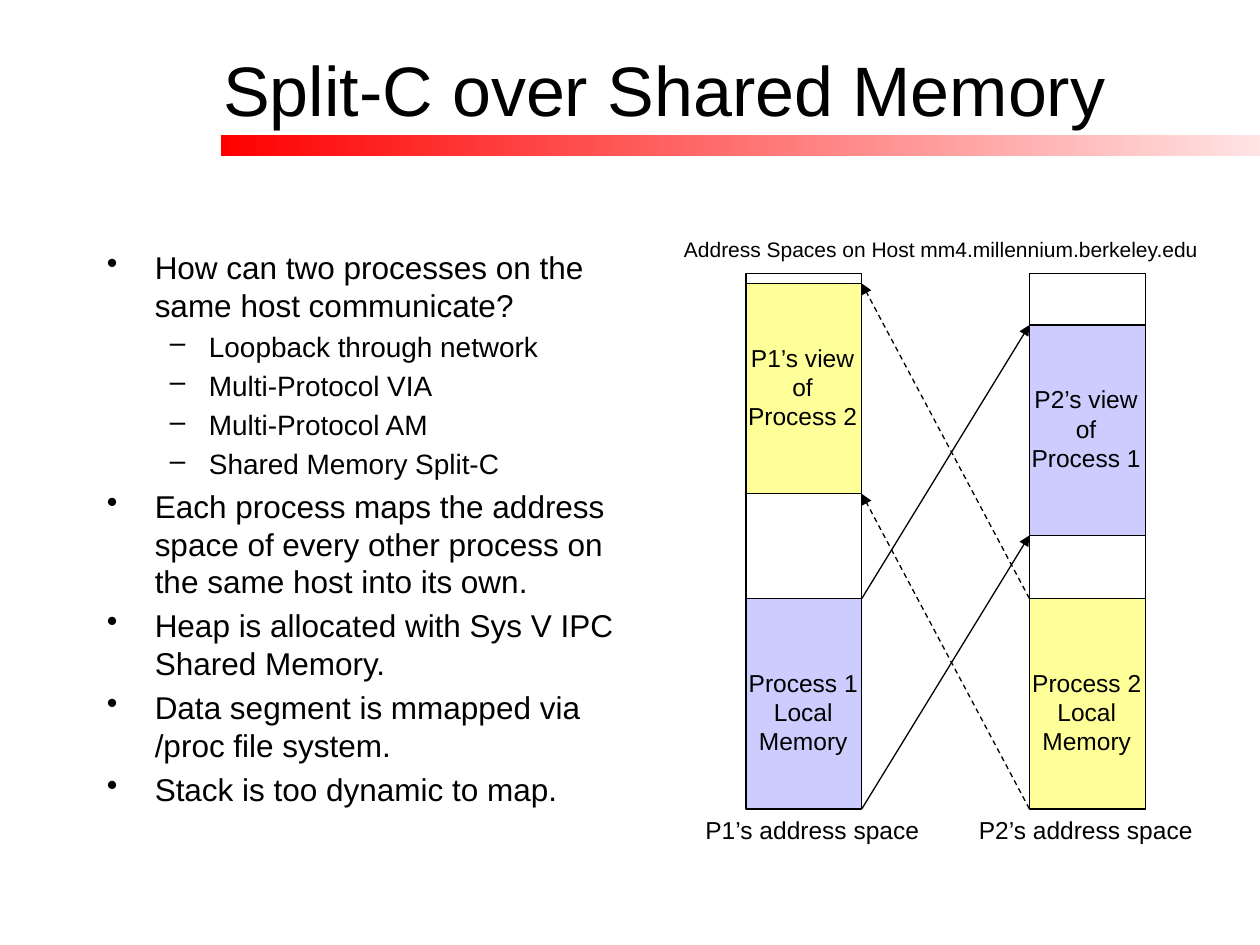
import pptx
import pptx.dml.color
import pptx.enum.dml
import pptx.enum.shapes
import pptx.enum.text
import pptx.oxml
import pptx.oxml.ns
import pptx.util
from pptx.util import Inches

RGBColor = pptx.dml.color.RGBColor
BLACK = RGBColor(0x00, 0x00, 0x00)
WHITE = RGBColor(0xFF, 0xFF, 0xFF)
RED = RGBColor(0xFF, 0x00, 0x00)
LILAC = RGBColor(0xCC, 0xCC, 0xFF)
YELLOW = RGBColor(0xFF, 0xFF, 0x99)
RECTANGLE = pptx.enum.shapes.MSO_SHAPE.RECTANGLE
LEFT, CENTER = pptx.enum.text.PP_ALIGN.LEFT, pptx.enum.text.PP_ALIGN.CENTER
TOP, MIDDLE = pptx.enum.text.MSO_ANCHOR.TOP, pptx.enum.text.MSO_ANCHOR.MIDDLE
NS = pptx.oxml.ns.nsdecls("a")


def write(paragraph, text, size, align=LEFT):
    run = paragraph.add_run()
    run.text = text
    paragraph.alignment = align
    formats = {"name": "Arial", "size": pptx.util.Pt(size)}
    for key, value in formats.items():
        setattr(run.font, key, value)
    run.font.color.rgb = BLACK


def place(shape, left, top, width, height, anchor=TOP):
    box = {"left": left, "top": top, "width": width, "height": height}
    for key, value in box.items():
        setattr(shape, key, Inches(value))
    frame_format = {
        "word_wrap": True, "vertical_anchor": anchor,
        "auto_size": pptx.enum.text.MSO_AUTO_SIZE.NONE,
        "margin_left": Inches(0.1), "margin_right": Inches(0.1),
        "margin_top": Inches(0.05), "margin_bottom": Inches(0.05),
    }
    for key, value in frame_format.items():
        setattr(shape.text_frame, key, value)
    return shape.text_frame


presentation = pptx.Presentation()
presentation.slide_width, presentation.slide_height = Inches(10), Inches(7.5)
slide = presentation.slides.add_slide(presentation.slide_layouts[5])
shapes = slide.shapes

# Title and the red band below it
title = place(shapes.title, 1.67, 0.08, 8.5, 1.25, MIDDLE)
write(title.paragraphs[0], "Split-C over Shared Memory", 40)

band = shapes.add_shape(RECTANGLE, Inches(1.75), Inches(1.07), Inches(9.25), Inches(0.17))
band.shadow.inherit = False
band.line.fill.background()
band.fill.gradient()
band.fill.gradient_angle = 0
for stop, position, color in zip(band.fill.gradient_stops, (0, 1), (RED, WHITE)):
    stop.position = position
    stop.color.rgb = color

# Bullet list: level and text
points = [
    (0, "How can two processes on the same host communicate?"),
    (1, "Loopback through network"),
    (1, "Multi-Protocol VIA"),
    (1, "Multi-Protocol AM"),
    (1, "Shared Memory Split-C"),
    (0, "Each process maps the address space of every other process on the same host into its own."),
    (0, "Heap is allocated with Sys V IPC Shared Memory."),
    (0, "Data segment is mmapped via /proc file system."),
    (0, "Stack is too dynamic to map."),
]
levels = [("•", 18, 0.38, -0.38), ("–", 16, 0.81, -0.31)]
points_frame = place(shapes.add_textbox(0, 0, 0, 0), 0.75, 1.92, 4.42, 5.08)
for index, (level, text) in enumerate(points):
    bullet, size, margin, indent = levels[level]
    point = points_frame.add_paragraph() if index else points_frame.paragraphs[0]
    point.level = level
    properties = point._p.get_or_add_pPr()
    properties.set("marL", str(Inches(margin)))
    properties.set("indent", str(Inches(indent)))
    properties.append(pptx.oxml.parse_xml(f'<a:buChar {NS} char="{bullet}"/>'))
    if index:
        point.space_before = pptx.util.Pt(size * 0.2)
    write(point, text, size)

# Address spaces, with the memory blocks mapped into them
P1_LEFT, P2_LEFT, SPACE_WIDTH = 5.92, 8.17, 0.92
SPACE_TOP, SPACE_HEIGHT, BLOCK_HEIGHT = 2.17, 4.25, 1.67
LOCAL_TOP, P1_VIEW_TOP, P2_VIEW_TOP = 4.75, 2.25, 2.58
memory_blocks = [
    (P1_LEFT, SPACE_TOP, SPACE_HEIGHT, WHITE),
    (P2_LEFT, SPACE_TOP, SPACE_HEIGHT, WHITE),
    (P1_LEFT, LOCAL_TOP, BLOCK_HEIGHT, LILAC),
    (P2_LEFT, P2_VIEW_TOP, BLOCK_HEIGHT, LILAC),
    (P2_LEFT, LOCAL_TOP, BLOCK_HEIGHT, YELLOW),
    (P1_LEFT, P1_VIEW_TOP, BLOCK_HEIGHT, YELLOW),
]
for left, top, height, color in memory_blocks:
    block = shapes.add_shape(
        RECTANGLE, Inches(left), Inches(top), Inches(SPACE_WIDTH), Inches(height))
    block.shadow.inherit = False
    block.fill.solid()
    block.fill.fore_color.rgb = color
    block.line.color.rgb = BLACK
    block.line.width = pptx.util.Pt(0.75)

# Arrows from the top and bottom of each local memory to its mapped view
P1_RIGHT = P1_LEFT + SPACE_WIDTH
mappings = [
    (P1_RIGHT, P2_LEFT, P2_VIEW_TOP, None),
    (P2_LEFT, P1_RIGHT, P1_VIEW_TOP, pptx.enum.dml.MSO_LINE.DASH),
]
for start, end, view_top, dash in mappings:
    for offset in (0, BLOCK_HEIGHT):
        arrow = shapes.add_connector(
            pptx.enum.shapes.MSO_CONNECTOR.STRAIGHT,
            Inches(start), Inches(LOCAL_TOP + offset),
            Inches(end), Inches(view_top + offset))
        line_format = {"width": pptx.util.Pt(0.75), "dash_style": dash}
        for key, value in line_format.items():
            setattr(arrow.line, key, value)
        arrow.line.color.rgb = BLACK
        arrow.line._get_or_add_ln().append(
            pptx.oxml.parse_xml(f'<a:tailEnd {NS} type="triangle"/>'))
        arrow._element.spPr.append(pptx.oxml.parse_xml(f"<a:effectLst {NS}/>"))

# Labels
labels = [
    ("Process 1 Local Memory", 5.75, 5.25, 1.25, 0.8, 14, CENTER),
    ("Process 2 Local Memory", 8, 5.25, 1.25, 0.8, 14, CENTER),
    ("P1’s view of Process 2", 5.83, 2.67, 1.08, 0.8, 14, CENTER),
    ("P2’s view of Process 1", 8.08, 3, 1.08, 0.8, 14, CENTER),
    ("Address Spaces on Host mm4.millennium.berkeley.edu", 5.33, 1.83, 4.42, 0.3, 12, LEFT),
    ("P1’s address space", 5.5, 6.42, 1.92, 0.33, 14, LEFT),
    ("P2’s address space", 7.67, 6.42, 1.92, 0.33, 14, LEFT),
]
for text, left, top, width, height, size, align in labels:
    label = place(shapes.add_textbox(0, 0, 0, 0), left, top, width, height)
    write(label.paragraphs[0], text, size, align)

presentation.save("out.pptx")
